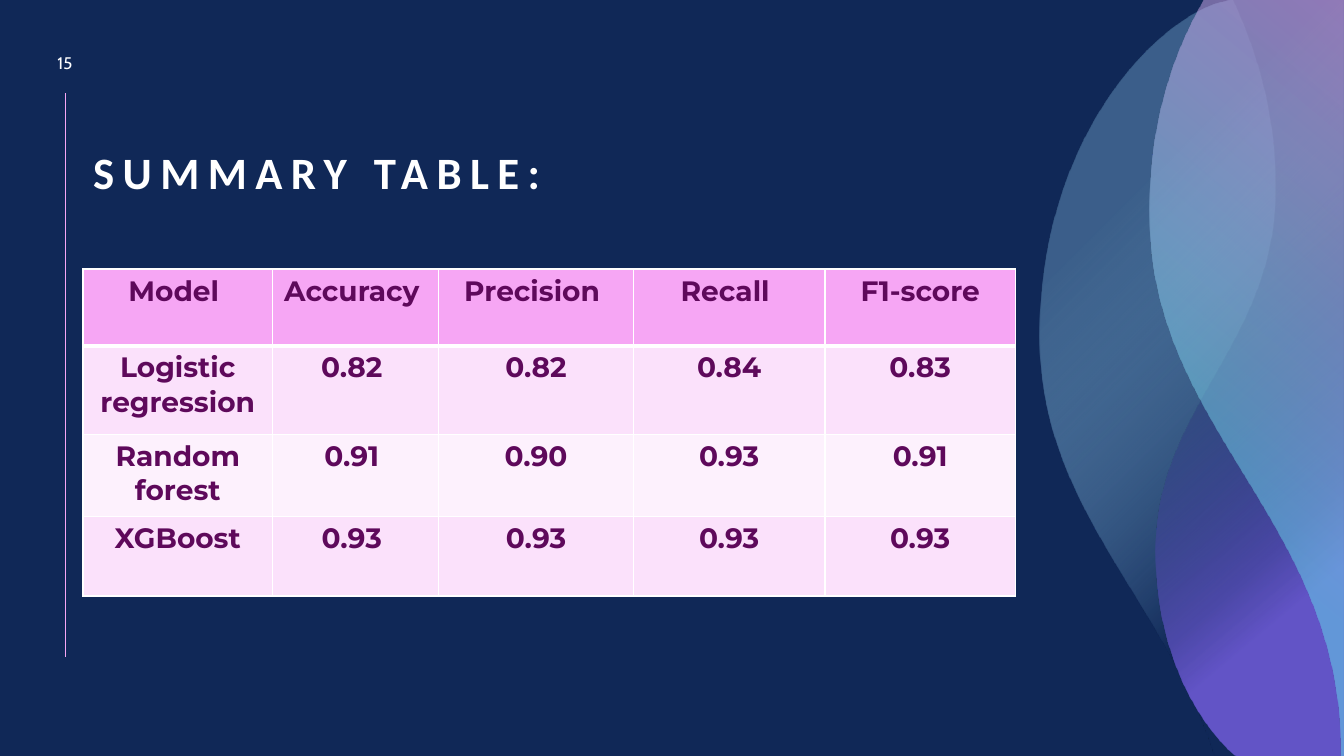
"""Build the summary table slide with its flowing ribbons."""
from lxml.etree import SubElement
from pptx import Presentation
from pptx.dml.color import RGBColor
from pptx.enum.shapes import MSO_CONNECTOR
from pptx.enum.text import MSO_ANCHOR, PP_ALIGN
from pptx.oxml.ns import qn
from pptx.util import Cm, Pt


def paint(fill, hue):
    fill.solid()
    fill.fore_color.rgb = RGBColor.from_string(hue)


def write(para, text, look, hue):
    run = para.add_run()
    run.text = text
    for key, value in look.items():
        setattr(run.font, key, value)
    paint(run.font.fill, hue)
    return run


deck = Presentation()
deck.slide_width, deck.slide_height = Cm(33.87), Cm(19.05)
slide = deck.slides.add_slide(deck.slide_layouts[5])
paint(slide.background.fill, "102857")

rule = slide.shapes.add_connector(
    MSO_CONNECTOR.STRAIGHT, Cm(1.65), Cm(2.35), Cm(1.65), Cm(16.56))
paint(rule.line.fill, "F6A6F4")
rule.line.width = Pt(0.5)
SubElement(rule._element.spPr, qn("a:effectLst"))

ribbons = [
    (30.99, 30.58,
     [(30.53, 18.87), (29.31, 15.11), (26.19, 12.78), (26.19, 8.48),
      (26.19, 3.84), (28.75, 0.79), (30.61, 0.1)],
     [(26, "102857", 100), (73, "92CDF0", 33)], None),
    (31.06, 31.14,
     [(31.09, 19.02), (30.1, 18.14), (29.11, 16.33), (29.11, 13.87),
      (29.13, 10.26), (32.08, 8.71), (32.13, 4.88),
      (32.16, 2.97), (31.7, 1.47), (31.19, 0.3)],
     [(37, "102857", 28), (79, "765FE1", 80)], 50),
    (30.33, 33.78,
     [(33.78, 18.72), (33.68, 13.06), (28.98, 10.77), (28.96, 5.46),
      (28.93, 3.45), (29.41, 1.75), (30.1, 0.43)],
     [(32, "64DFED", 48), (100, "F6A6F4", 49)], 310),
]
for top, foot, edge, stops, angle in ribbons:
    dots = [(33.87, 0), (33.87, 19.05), (foot, 19.05)] + edge
    pen = slide.shapes.build_freeform(Cm(top), 0)
    pen.add_line_segments([(Cm(x), Cm(y)) for x, y in dots], close=True)
    ribbon = pen.convert_to_shape()
    ribbon.shadow.inherit = False
    ribbon.line.fill.background()
    ribbon.fill.background()
    props = ribbon._element.spPr
    lines = list(props.iter(qn("a:lnTo")))[4:]
    for i in range(0, len(lines), 3):
        curve = SubElement(lines[i].getparent(), qn("a:cubicBezTo"))
        lines[i].addprevious(curve)
        for line in lines[i:i + 3]:
            curve.append(line[0])
            line.getparent().remove(line)
    blank = props.find(qn("a:noFill"))
    grad = SubElement(props, qn("a:gradFill"), rotWithShape="1")
    props.replace(blank, grad)
    stack = SubElement(grad, qn("a:gsLst"))
    for place, hue, alpha in stops:
        stop = SubElement(stack, qn("a:gs"), pos=str(place * 1000))
        tint = SubElement(stop, qn("a:srgbClr"), val=hue)
        SubElement(tint, qn("a:alpha"), val=str(alpha * 1000))
    if angle is None:
        focus = SubElement(grad, qn("a:path"), path="circle")
        SubElement(focus, qn("a:fillToRect"), l="100000", t="100000")
    else:
        SubElement(grad, qn("a:lin"), ang=str(angle * 60000), scaled="0")

title = slide.shapes.title
spot = {"left": 2.09, "top": 2.18, "width": 26.59, "height": 2.97}
for key, value in spot.items():
    setattr(title, key, Cm(value))
title.text_frame.vertical_anchor = MSO_ANCHOR.BOTTOM
para = title.text_frame.paragraphs[0]
para.alignment = PP_ALIGN.LEFT
para.line_spacing = 0.9
look = {"size": Pt(32), "name": "Calibri", "bold": True}
run = write(para, "SUMMARY TABLE:", look, "FFFFFF")
run._r.get_or_add_rPr().set("spc", "600")

page = slide.shapes.add_textbox(Cm(0.91), Cm(1.16), Cm(1.45), Cm(0.86))
page.text_frame.word_wrap = True
page.text_frame.vertical_anchor = MSO_ANCHOR.MIDDLE
para = page.text_frame.paragraphs[0]
para.alignment = PP_ALIGN.CENTER
write(para, "15", {"size": Pt(12), "name": "Cabin"}, "FFFFFF")

rows = [
    ("Model ", "Accuracy ", "Precision ", "Recall ", "F1-score"),
    ("Logistic regression", "0.82 ", "0.82", "0.84", "0.83"),
    ("Random forest", "0.91 ", "0.90", "0.93", "0.91"),
    ("XGBoost", "0.93 ", "0.93", "0.93", "0.93"),
]
wide = [4.78, 4.19, 4.9, 4.83, 4.8]
high = [1.93, 2.23, 2.08, 2]
fills = ["F6A6F4", "FBE1FB", "FDF1FD", "FBE1FB"]
look = {"size": Pt(20), "name": "Montserrat", "bold": True}
grid = slide.shapes.add_table(
    len(rows), len(wide), Cm(2.09), Cm(6.78), Cm(sum(wide)), Cm(sum(high))).table
for column, width in zip(grid.columns, wide):
    column.width = Cm(width)
for r, words in enumerate(rows):
    grid.rows[r].height = Cm(high[r])
    for c, text in enumerate(words):
        cell = grid.cell(r, c)
        props = cell._tc.get_or_add_tcPr()
        for side in "LRTB":
            thick = 3 if (r, side) in ((0, "B"), (1, "T")) else 1
            line = SubElement(props, qn("a:ln" + side), w=str(Pt(thick)))
            solid = SubElement(line, qn("a:solidFill"))
            SubElement(solid, qn("a:srgbClr"), val="FFFFFF")
        paint(cell.fill, fills[r])
        para = cell.text_frame.paragraphs[0]
        para.alignment = PP_ALIGN.CENTER
        write(para, text, look, "5E095B")

deck.save("out.pptx")
